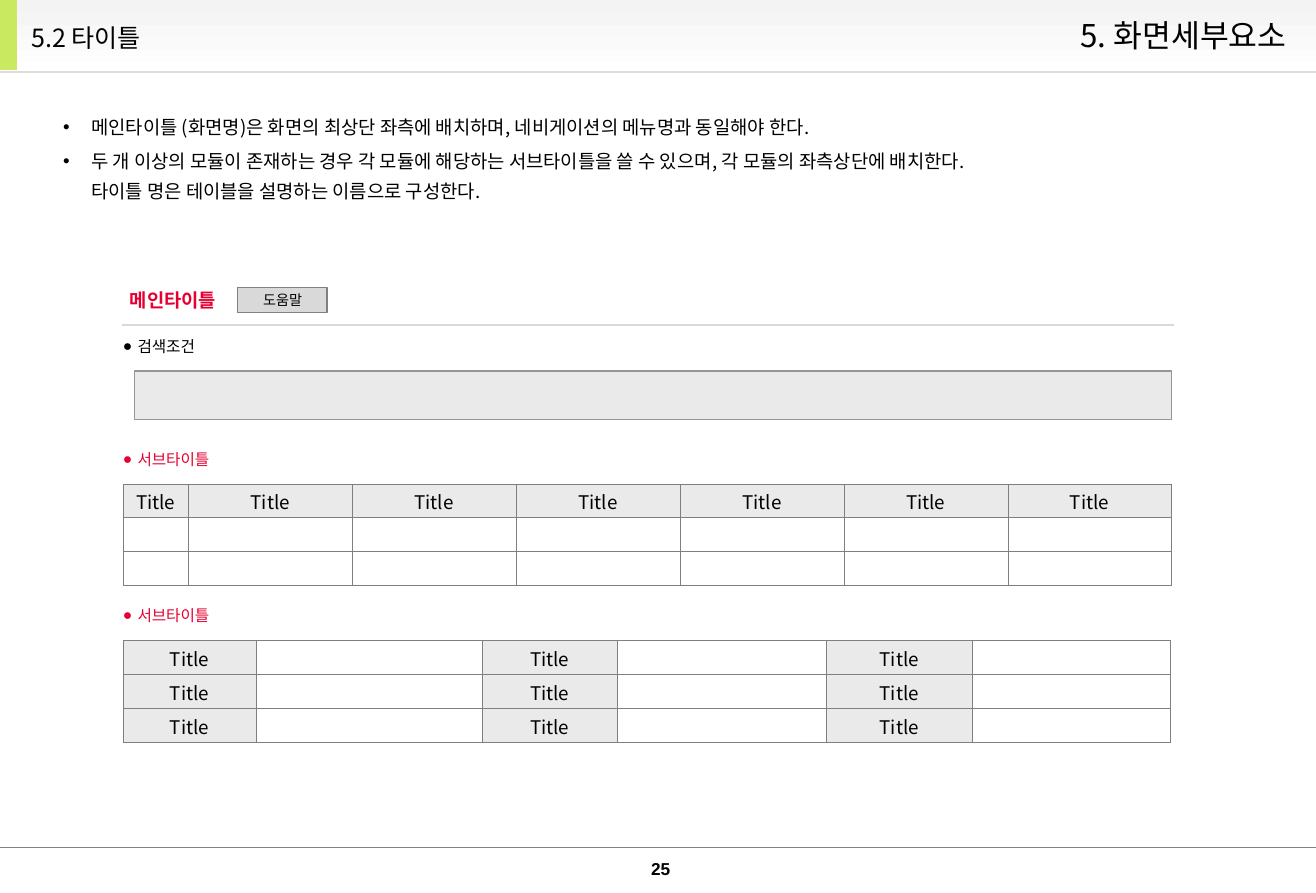
from copy import deepcopy

from lxml.etree import SubElement
from pptx import Presentation
from pptx.dml.color import RGBColor
from pptx.enum.shapes import MSO_CONNECTOR, MSO_SHAPE
from pptx.enum.text import MSO_ANCHOR as ANCHOR, MSO_AUTO_SIZE as AUTO_SIZE, PP_ALIGN as ALIGN
from pptx.oxml.ns import qn
from pptx.util import Inches, Pt

COLORS = {
    "black": "000000", "white": "FFFFFF", "red": "E60032", "lime": "C9E961",
    "header top": "F3F3F3", "header rule": "DDDDDD", "panel": "EAEAEA",
    "panel edge": "969696", "button": "D9D9D9", "gray": "808080", "grid": "7F7F7F",
}
FONT = "Noto Sans CJK KR"


def color(name):
    return RGBColor.from_string(COLORS[name])


class SlideBuilder:
    """Holds the style and the current slide."""

    def __init__(self, slide):
        self.slide = slide
        self.shapes = slide.shapes

    def format_text(self, frame, text, size, ink="black", bold=False, align=ALIGN.LEFT,
                    anchor=ANCHOR.TOP, insets=(0.05, 0.05), font=FONT):
        frame.text = text
        frame.word_wrap = True
        frame.auto_size = AUTO_SIZE.NONE
        frame.vertical_anchor = anchor
        frame.margin_left = frame.margin_right = Inches(insets[0])
        frame.margin_top = frame.margin_bottom = Inches(insets[1])
        self.format_runs(frame, size, ink, bold, align, font)

    def format_runs(self, frame, size, ink="black", bold=False, align=ALIGN.LEFT, font=FONT):
        for paragraph in frame.paragraphs:
            paragraph.alignment = align
            for run in paragraph.runs:
                run.font.size = Pt(size)
                run.font.bold = bold
                run.font.color.rgb = color(ink)
                run.font.name = font
                properties = run.font._element
                SubElement(properties, qn("a:ea"), typeface=font)
            # Line breaks take the size of the text around them
            for line_break in paragraph._p.findall(qn("a:br")):
                line_break.append(deepcopy(properties))

    def title(self, text, box, size):
        title = self.shapes.title
        title.left, title.top, title.width, title.height = map(Inches, box)
        self.format_text(title.text_frame, text, size, anchor=ANCHOR.MIDDLE, insets=(0.11, 0.05))
        self.shapes._spTree.append(title._element)  # bring in front of the header

    def text(self, text, box, size, **style):
        text_box = self.shapes.add_textbox(*map(Inches, box))
        self.format_text(text_box.text_frame, text, size, **style)
        return text_box.text_frame

    def bullets(self, text, box, size, mark, indent, **style):
        frame = self.text(text, box, size, **style)
        for paragraph in frame.paragraphs:
            properties = paragraph._p.get_or_add_pPr()
            properties.set("marL", str(Inches(indent)))
            properties.set("indent", str(-Inches(indent)))
            SubElement(properties, qn("a:buFont"), typeface="Arial")
            SubElement(properties, qn("a:buChar"), char=mark)
        return frame

    def rectangle(self, box, fill, edge=None, fade_to=None):
        shape = self.shapes.add_shape(MSO_SHAPE.RECTANGLE, *map(Inches, box))
        shape.shadow.inherit = False
        if fade_to:
            shape.fill.gradient()
            shape.fill.gradient_angle = 270
            for stop, name in zip(shape.fill.gradient_stops, (fill, fade_to)):
                stop.color.rgb = color(name)
        else:
            shape.fill.solid()
            shape.fill.fore_color.rgb = color(fill)
        if edge:
            shape.line.color.rgb = color(edge)
            shape.line.width = Pt(0.75)
        else:
            shape.line.fill.background()
        return shape

    def rule(self, left, right, top, ink, width):
        line = self.shapes.add_connector(
            MSO_CONNECTOR.STRAIGHT, Inches(left), Inches(top), Inches(right), Inches(top))
        line.line.color.rgb = color(ink)
        line.line.width = Pt(width)
        SubElement(line._element.spPr, qn("a:effectLst"))

    def table(self, left, top, widths, row_height, rows, is_heading):
        frame = self.shapes.add_table(
            rows, len(widths), Inches(left), Inches(top),
            Inches(sum(widths)), Inches(row_height * rows))
        table = frame.table
        table.first_row = table.horz_banding = False
        for column, width in zip(table.columns, widths):
            column.width = Inches(width)
        for row_index, row in enumerate(table.rows):
            row.height = Inches(row_height)
            for column_index, cell in enumerate(row.cells):
                self.cell(cell, is_heading(row_index, column_index))

    def cell(self, cell, heading):
        cell.margin_left = cell.margin_right = Inches(0.04)
        cell.margin_top, cell.margin_bottom = Inches(0.03), Inches(0.01)
        cell.vertical_anchor = ANCHOR.MIDDLE
        properties = cell._tc.get_or_add_tcPr()
        for side in ("a:lnL", "a:lnR", "a:lnT", "a:lnB"):
            border = SubElement(properties, qn(side), w=str(Pt(0.25)))
            fill = SubElement(border, qn("a:solidFill"))
            SubElement(fill, qn("a:srgbClr"), val=COLORS["grid"])
        cell.fill.solid()
        cell.fill.fore_color.rgb = color("panel" if heading else "white")
        if heading:
            cell.text_frame.text = "Title"
            self.format_runs(cell.text_frame, 12, align=ALIGN.CENTER)
        else:
            # A small size keeps empty rows at their set height
            SubElement(cell.text_frame.paragraphs[0]._p, qn("a:endParaRPr"), sz="1000")


def main():
    presentation = Presentation()
    presentation.slide_width, presentation.slide_height = Inches(11.67), Inches(7.92)
    builder = SlideBuilder(presentation.slides.add_slide(presentation.slide_layouts[5]))

    # Footer
    builder.rule(0, 11.67, 7.52, "gray", 0.75)
    page_number = builder.text("25", (5.61, 7.63, 0.5, 0.17), 11, bold=True,
                               align=ALIGN.CENTER, insets=(0, 0), font="Arial")
    page_number.paragraphs[0].line_spacing = 0.9

    # Header
    builder.rectangle((0, 0, 11.67, 0.66), "header top", fade_to="white")
    builder.rule(0, 11.67, 0.64, "header rule", 1.5)
    builder.rectangle((0, 0, 0.15, 0.62), "lime")
    builder.title("5.2 타이틀", (0.17, 0.11, 3.21, 0.45), 16)
    builder.text("5. 화면세부요소", (5.84, 0, 5.68, 0.62), 20, align=ALIGN.RIGHT,
                 anchor=ANCHOR.MIDDLE, insets=(0.11, 0.05))

    # Guidelines
    guidelines = builder.bullets(
        "메인타이틀 (화면명)은 화면의 최상단 좌측에 배치하며, 네비게이션의 메뉴명과 동일해야 한다.\n"
        "두 개 이상의 모듈이 존재하는 경우 각 모듈에 해당하는 서브타이틀을 쓸 수 있으며, "
        "각 모듈의 좌측상단에 배치한다.\v타이틀 명은 테이블을 설명하는 이름으로 구성한다.",
        (0.45, 0.92, 10.69, 0.94), 12, "•", 0.25, insets=(0.11, 0.05))
    for paragraph in guidelines.paragraphs:
        paragraph.line_spacing = 1.3
        paragraph.space_before = Pt(3)

    # Main title with help button
    builder.text("메인타이틀", (1.06, 2.51, 0.95, 0.31), 12, ink="red", bold=True,
                 align=ALIGN.CENTER)
    button = builder.rectangle((2.11, 2.55, 0.79, 0.22), "button", "gray")
    builder.format_text(button.text_frame, "도움말", 9, align=ALIGN.CENTER,
                        anchor=ANCHOR.MIDDLE, insets=(0.04, 0))
    builder.rule(1.08, 10.41, 2.88, "button", 1.5)

    # Section labels and search panel
    for label, top, ink in (("검색조건", 2.94, "black"), ("서브타이틀", 3.94, "red"),
                            ("서브타이틀", 5.32, "red")):
        builder.bullets(label, (1.05, top, 1.1, 0.27), 10, "●", 0.13, ink=ink, insets=(0.04, 0.05))
    builder.rectangle((1.19, 3.29, 9.2, 0.43), "panel", "panel edge")

    # List table: headings across the top
    list_widths = [0.58] + [(9.3 - 0.58) / 6] * 6
    builder.table(1.09, 4.29, list_widths, 0.3, 3, lambda row, column: row == 0)

    # Detail table: headings in every other column
    detail_widths = [1.18, 2.01, 1.19, 1.86, 1.29, 1.76]
    builder.table(1.09, 5.68, detail_widths, 0.3, 3, lambda row, column: column % 2 == 0)

    presentation.save("out.pptx")


if __name__ == "__main__":
    main()
